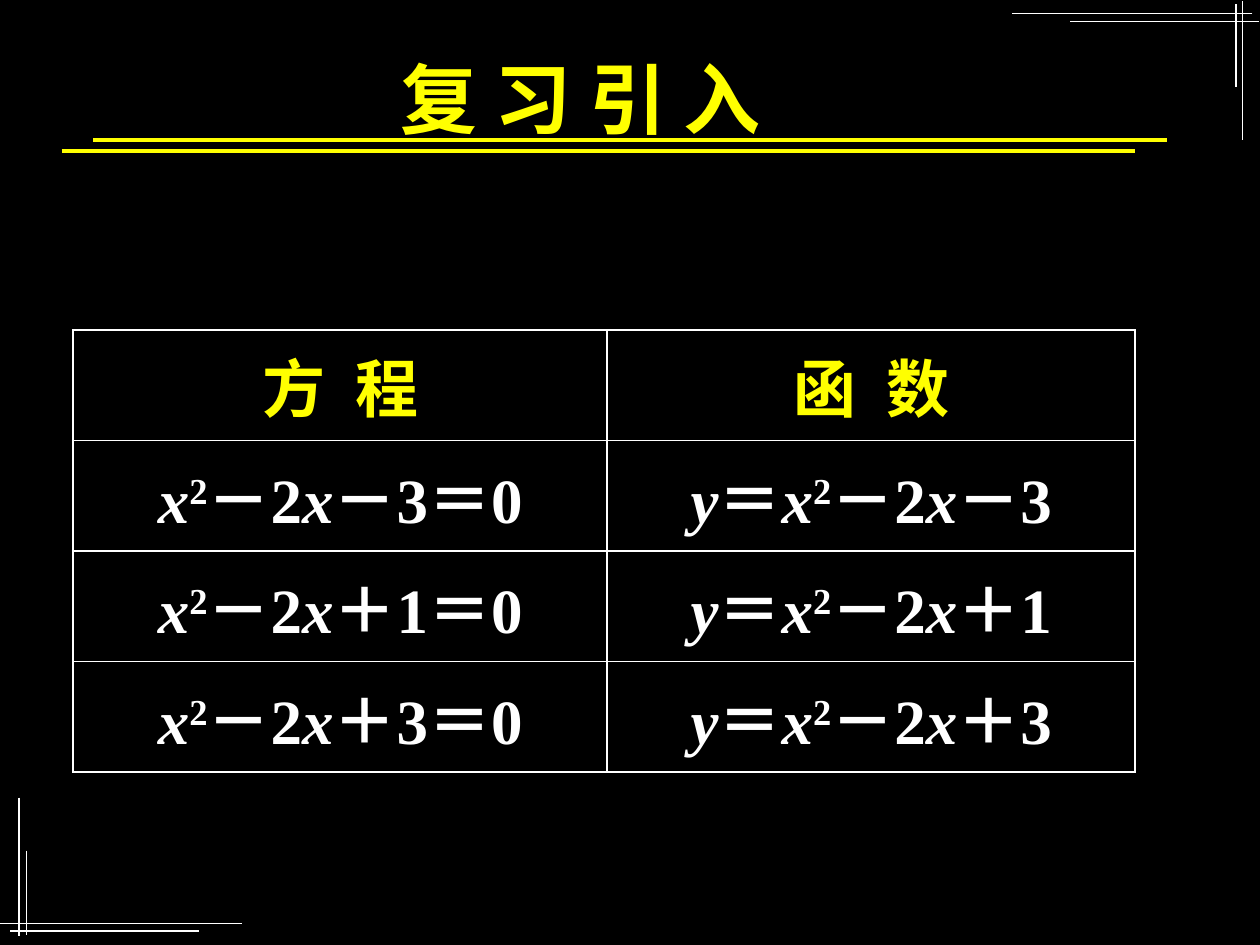
from typing import NamedTuple

from lxml import etree
from pptx import Presentation
from pptx.dml.color import RGBColor
from pptx.enum import shapes, text
from pptx.oxml import ns
from pptx.util import Inches, Pt

FONT = "Times New Roman"
WHITE, YELLOW, BLACK = "FFFFFF", "FFFF00", "000000"


class Rule(NamedTuple):
    x1: float
    y1: float
    x2: float
    y2: float
    color: str = WHITE
    weight: float = 0.75


class Piece(NamedTuple):
    words: str
    italic: bool = False
    raised: bool = False
    color: str = WHITE
    spacing: int = 0


CORNER_RULES = [
    Rule(0, 7.33, 1.92, 7.33),
    Rule(0.08, 7.39, 1.58, 7.39),
    Rule(0.15, 6.33, 0.15, 7.43),
    Rule(0.21, 6.75, 0.21, 7.42),
    Rule(9.94, 0.11, 8.03, 0.11),
    Rule(9.99, 0.17, 8.49, 0.17),
    Rule(9.86, 1.11, 9.86, 0.01),
    Rule(9.81, 0.69, 9.81, 0.03),
]
TITLE_RULES = [
    Rule(0.74, 1.11, 9.26, 1.11, YELLOW, 2.25),
    Rule(0.49, 1.2, 9.01, 1.2, YELLOW, 2.25),
]
CONSTANTS = ["－3", "＋1", "＋3"]
COLUMN_WIDTHS = [4.24, 4.19]
ROW_HEIGHT = 0.877


def rgb(value: str) -> RGBColor:
    return RGBColor.from_string(value)


def style_font(font, size: float, color: str) -> None:
    font.name = FONT
    font.size = Pt(size)
    font.bold = True
    font.color.rgb = rgb(color)


def draw_rule(slide, rule: Rule) -> None:
    line = slide.shapes.add_connector(
        shapes.MSO_CONNECTOR.STRAIGHT,
        Inches(rule.x1), Inches(rule.y1), Inches(rule.x2), Inches(rule.y2),
    )
    line.line.color.rgb = rgb(rule.color)
    line.line.width = Pt(rule.weight)
    etree.SubElement(line._element.spPr, ns.qn("a:effectLst"))


def heading(first: str, second: str) -> list[Piece]:
    return [
        Piece(first, color=YELLOW),
        Piece(" ", color=YELLOW, spacing=900),
        Piece(second, color=YELLOW),
    ]


def quadratic(ending: str) -> list[Piece]:
    return [
        Piece("x", italic=True),
        Piece("2", raised=True),
        Piece("－2"),
        Piece("x", italic=True),
        Piece(ending),
    ]


def border_cell(cell) -> None:
    properties = cell._tc.get_or_add_tcPr()
    for position, side in enumerate(("lnL", "lnR", "lnT", "lnB")):
        border = etree.Element(ns.qn(f"a:{side}"), w=str(Pt(1.08)))
        fill = etree.SubElement(border, ns.qn("a:solidFill"))
        etree.SubElement(fill, ns.qn("a:srgbClr"), val=WHITE)
        properties.insert(position, border)


def fill_cell(cell, pieces: list[Piece]) -> None:
    cell.fill.background()
    border_cell(cell)
    cell.vertical_anchor = text.MSO_ANCHOR.MIDDLE
    paragraph = cell.text_frame.paragraphs[0]
    paragraph.alignment = text.PP_ALIGN.CENTER
    for piece in pieces:
        run = paragraph.add_run()
        run.text = piece.words
        style_font(run.font, 36, piece.color)
        run.font.italic = piece.italic
        if piece.raised:
            run.font._element.set("baseline", "30000")
        if piece.spacing:
            run.font._element.set("spc", str(piece.spacing))


def draw_table(slide, rows: list[list[list[Piece]]]) -> None:
    frame = slide.shapes.add_table(
        len(rows), len(COLUMN_WIDTHS), Inches(0.58), Inches(2.62),
        Inches(sum(COLUMN_WIDTHS)), Inches(ROW_HEIGHT * len(rows)),
    )
    table = frame.table
    table.first_row = False
    table.horz_banding = False
    for column, width in zip(table.columns, COLUMN_WIDTHS):
        column.width = Inches(width)
    for row, contents in zip(table.rows, rows):
        row.height = Inches(ROW_HEIGHT)
        for cell, pieces in zip(row.cells, contents):
            fill_cell(cell, pieces)


def draw_title(slide, words: str) -> None:
    title = slide.shapes.add_textbox(
        Inches(3.08), Inches(0.36), Inches(7.85), Inches(0.84)
    )
    title.text_frame.word_wrap = True
    title.text_frame.text = words
    style_font(title.text_frame.paragraphs[0].runs[0].font, 44, YELLOW)


def main() -> None:
    deck = Presentation()
    deck.slide_width, deck.slide_height = Inches(10), Inches(7.5)
    slide = deck.slides.add_slide(deck.slide_layouts[6])
    slide.background.fill.solid()
    slide.background.fill.fore_color.rgb = rgb(BLACK)

    for rule in CORNER_RULES:
        draw_rule(slide, rule)
    function_start = [Piece("y", italic=True), Piece("＝")]
    rows = [[heading("方", "程"), heading("函", "数")]]
    for constant in CONSTANTS:
        rows.append([
            quadratic(f"{constant}＝0"),
            function_start + quadratic(constant),
        ])
    draw_table(slide, rows)
    draw_title(slide, "复 习 引 入")
    for rule in TITLE_RULES:
        draw_rule(slide, rule)
    deck.save("out.pptx")


if __name__ == "__main__":
    main()
